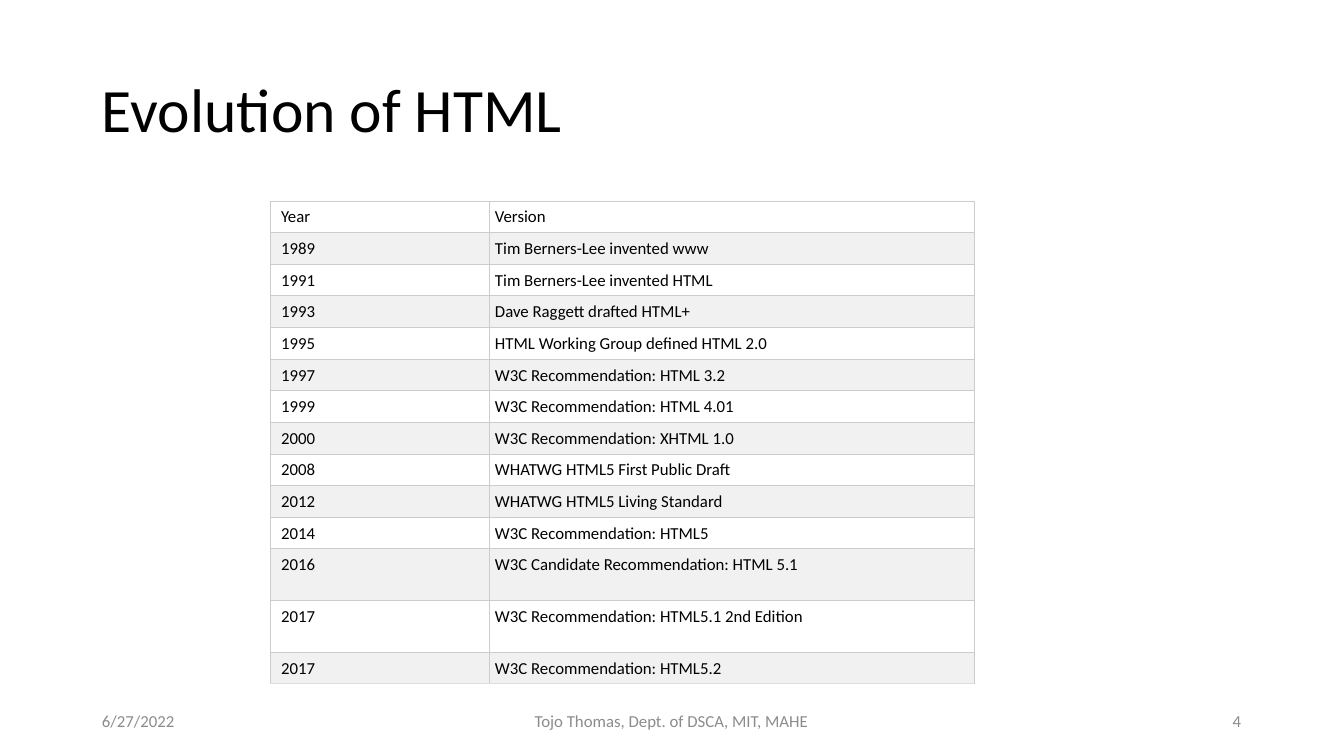
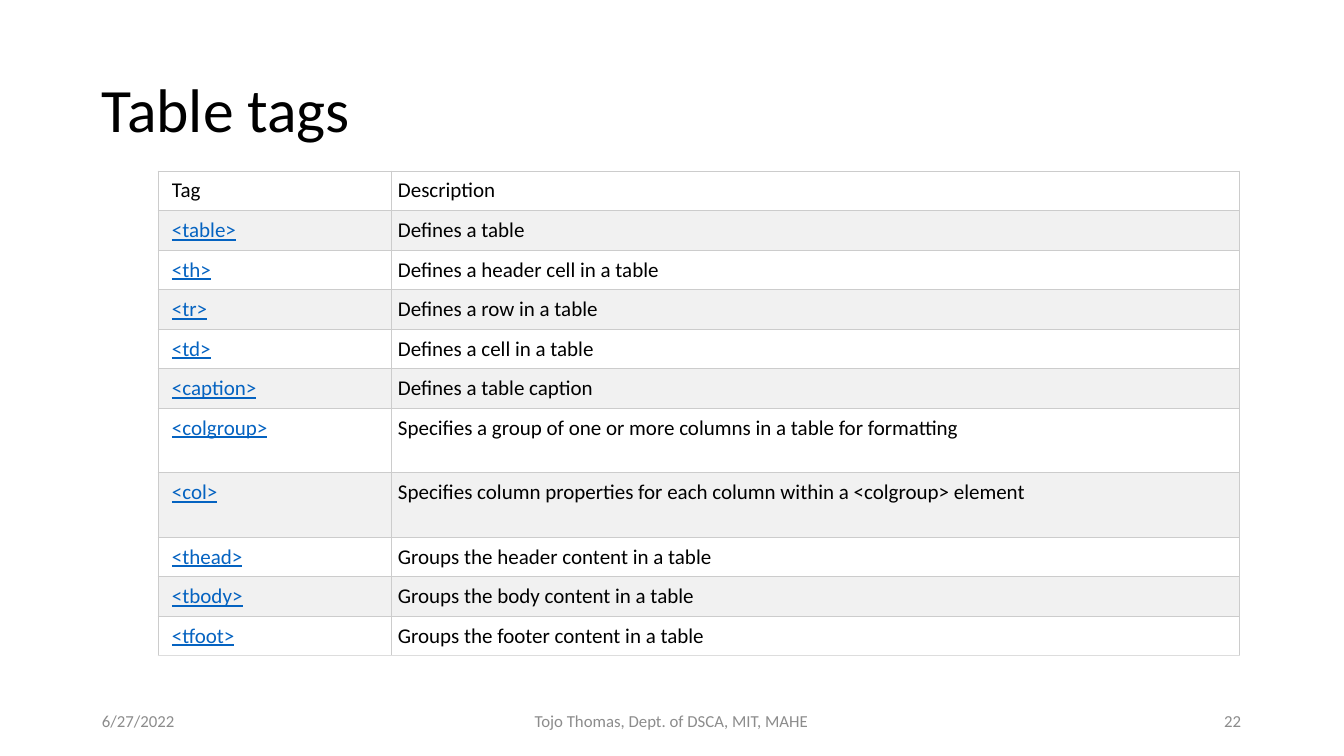
import pptx
import pptx.dml.color
import pptx.enum.text
import pptx.oxml
import pptx.oxml.ns
import pptx.util

RGBColor = pptx.dml.color.RGBColor
ALIGN = pptx.enum.text.PP_ALIGN
MIDDLE = pptx.enum.text.MSO_ANCHOR.MIDDLE

BLACK = RGBColor(0x00, 0x00, 0x00)
WHITE = RGBColor(0xFF, 0xFF, 0xFF)
STRIPE = RGBColor(0xF1, 0xF1, 0xF1)
RULE = RGBColor(0xCC, 0xCC, 0xCC)
LAST_RULE = RGBColor(0xDD, 0xDD, 0xDD)
MUTED = RGBColor(0x8C, 0x8C, 0x8C)
LINK = RGBColor(0x05, 0x63, 0xC1)

FONT = "Calibri"
EMU_PER_PIXEL = 914400 / 100.8
TALL_ROW = 1.63
TITLE_BOX = (92, 40, 1159, 146)
FOOTER_BOX = (92, 701, 1159, 40)
DATE = "6/27/2022"
AUTHOR = "Tojo Thomas, Dept. of DSCA, MIT, MAHE"

HISTORY = [
    ("Year", "Version"),
    ("1989", "Tim Berners-Lee invented www"),
    ("1991", "Tim Berners-Lee invented HTML"),
    ("1993", "Dave Raggett drafted HTML+"),
    ("1995", "HTML Working Group defined HTML 2.0"),
    ("1997", "W3C Recommendation: HTML 3.2"),
    ("1999", "W3C Recommendation: HTML 4.01"),
    ("2000", "W3C Recommendation: XHTML 1.0"),
    ("2008", "WHATWG HTML5 First Public Draft"),
    ("2012", "WHATWG HTML5 Living Standard"),
    ("2014", "W3C Recommendation: HTML5"),
    ("2016", "W3C Candidate Recommendation: HTML 5.1"),
    ("2017", "W3C Recommendation: HTML5.1 2nd Edition"),
    ("2017", "W3C Recommendation: HTML5.2"),
]
TAGS = [
    ("Tag", "Description"),
    ("<table>", "Defines a table"),
    ("<th>", "Defines a header cell in a table"),
    ("<tr>", "Defines a row in a table"),
    ("<td>", "Defines a cell in a table"),
    ("<caption>", "Defines a table caption"),
    ("<colgroup>", "Specifies a group of one or more columns in a table for formatting"),
    ("<col>", "Specifies column properties for each column within a <colgroup> element"),
    ("<thead>", "Groups the header content in a table"),
    ("<tbody>", "Groups the body content in a table"),
    ("<tfoot>", "Groups the footer content in a table"),
]


def px(length):
    return pptx.util.Emu(round(length * EMU_PER_PIXEL))


def apply(target, formats):
    for name, value in formats.items():
        setattr(target, name, value)


def write(paragraph, words, size, color, underline=False):
    run = paragraph.add_run()
    run.text = words
    apply(run.font, {"name": FONT, "size": pptx.util.Pt(size), "underline": underline})
    run.font.color.rgb = color


def add_words(slide, box, words, size, color, **paragraph_formats):
    frame = slide.shapes.add_textbox(*map(px, box)).text_frame
    apply(frame, {"word_wrap": True, "vertical_anchor": MIDDLE})
    apply(frame.paragraphs[0], paragraph_formats)
    write(frame.paragraphs[0], words, size, color)


def add_footer(slide, box, number):
    left, top, width, height = box
    side, center = 302, 454
    for words, start, span, align in (
        (DATE, 0, side, ALIGN.LEFT),
        (AUTHOR, (width - center) / 2, center, ALIGN.CENTER),
        (str(number), width - side, side, ALIGN.RIGHT),
    ):
        add_words(slide, (left + start, top, span, height), words, 12, MUTED, alignment=align)


def add_borders(cell, bottom):
    properties = cell._tc.get_or_add_tcPr()
    for edge, color in (("L", RULE), ("R", RULE), ("T", RULE), ("B", bottom)):
        properties.append(pptx.oxml.parse_xml(
            f'<a:ln{edge} {pptx.oxml.ns.nsdecls("a")} w="{pptx.util.Pt(0.75)}">'
            f'<a:solidFill><a:srgbClr val="{color}"/></a:solidFill></a:ln{edge}>'))


def add_grid(slide, box, entries, first_width, tall, size, indent, pad, key_format):
    left, top, width, height = box
    grid = slide.shapes.add_table(len(entries), 2, *map(px, box)).table
    apply(grid, {"first_row": False, "horz_banding": False})
    for column, span in zip(grid.columns, (first_width, width - first_width)):
        column.width = px(span)
    weights = [TALL_ROW if index in tall else 1 for index in range(len(entries))]
    for index, (entry, weight) in enumerate(zip(entries, weights)):
        grid.rows[index].height = px(height * weight / sum(weights))
        bottom = LAST_RULE if index == len(entries) - 1 else RULE
        for column, words in enumerate(entry):
            cell = grid.cell(index, column)
            apply(cell, {
                "margin_left": px(pad if column else indent),
                "margin_right": px(pad),
                "margin_top": px(pad),
                "margin_bottom": px(pad - 1),
            })
            add_borders(cell, bottom)
            cell.fill.solid()
            cell.fill.fore_color.rgb = STRIPE if index % 2 else WHITE
            formats = key_format if index and not column else {"color": BLACK}
            write(cell.text_frame.paragraphs[0], words, size, **formats)


def add_table_slide(deck, title, number, box, **grid_formats):
    slide = deck.slides.add_slide(deck.slide_layouts[6])
    add_words(slide, TITLE_BOX, title, 44, BLACK, line_spacing=0.9)
    add_grid(slide, box, **grid_formats)
    add_footer(slide, FOOTER_BOX, number)


deck = pptx.Presentation()
apply(deck, {"slide_width": px(1344), "slide_height": px(756)})
add_table_slide(
    deck, "Evolution of HTML", 4, (270, 201, 704, 483),
    entries=HISTORY, first_width=219, tall=(11, 12), size=12, indent=11, pad=6,
    key_format={"color": BLACK})
add_table_slide(
    deck, "Table tags", 22, (158, 171, 1082, 485),
    entries=TAGS, first_width=233, tall=(6, 7), size=15, indent=14, pad=7,
    key_format={"color": LINK, "underline": True})
deck.save("out.pptx")
